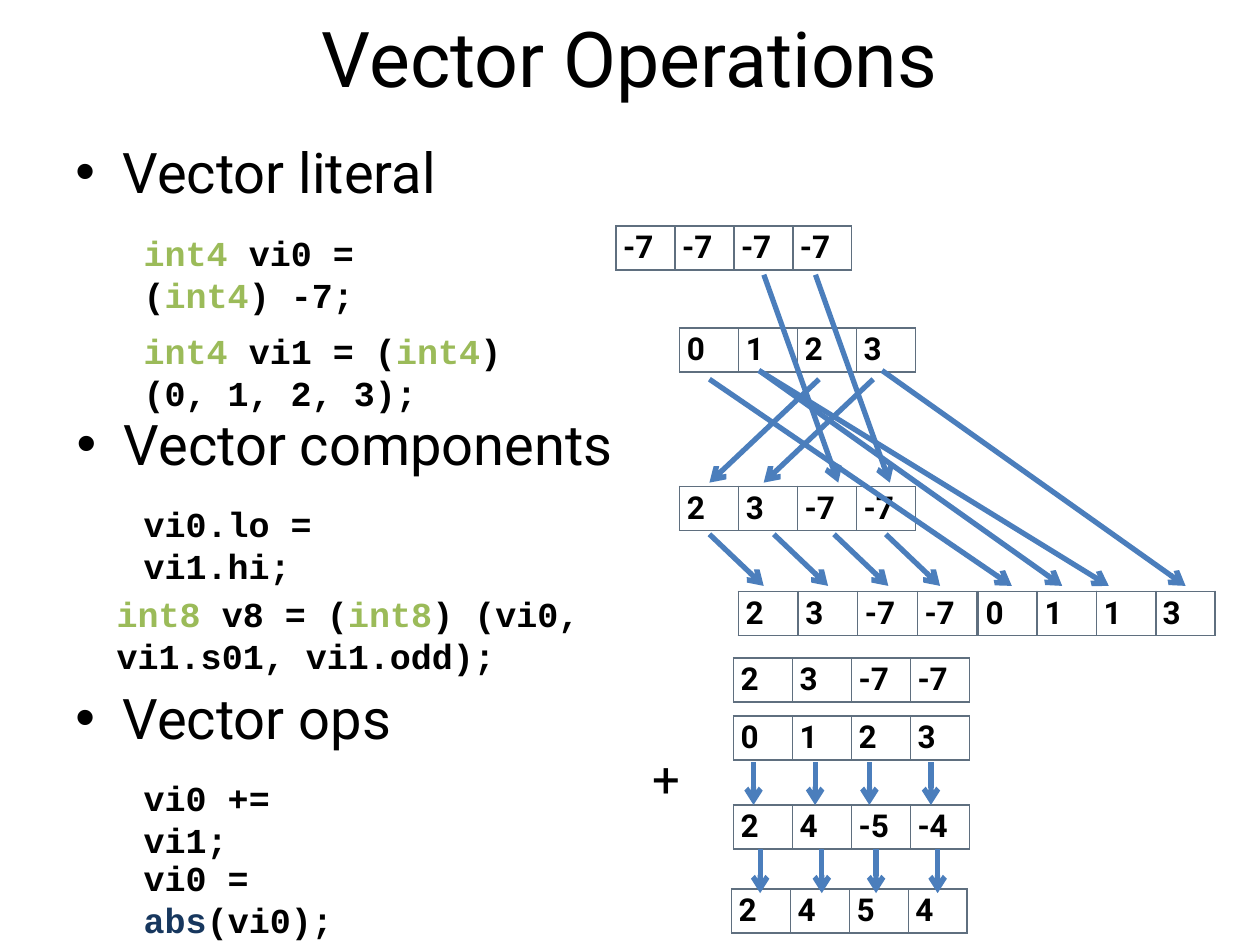
from dataclasses import dataclass

import lxml.etree
import pptx
import pptx.dml.color
import pptx.enum.shapes
import pptx.enum.text
import pptx.oxml.ns
import pptx.util

Pt = pptx.util.Pt


@dataclass(frozen=True)
class Theme:
    body: str = "Roboto"
    code: str = "Courier New"
    black: str = "000000"
    type_green: str = "9BBB59"
    function_navy: str = "17375E"
    border: str = "5F6F7F"
    arrow: str = "4B7EBC"
    title_size: int = 44
    topic_size: int = 32
    plus_size: int = 28
    code_size: int = 20
    cell_size: int = 18


THEME = Theme()
CODE_COLORS = {
    "int4": THEME.type_green,
    "int8": THEME.type_green,
    "abs": THEME.function_navy,
}


def add_child(parent, tag, **attributes):
    return lxml.etree.SubElement(parent, pptx.oxml.ns.qn(tag), attributes)


def format_font(font, face, size, color=THEME.black, bold=False):
    font.name = face
    font.size = Pt(size)
    font.bold = bold
    font.color.rgb = pptx.dml.color.RGBColor.from_string(color)


def add_title(slide, text):
    title = slide.shapes.title
    title.left, title.top = Pt(36), Pt(-12.6)
    title.width, title.height = Pt(648), Pt(90)
    title.text_frame.text = text
    title.text_frame.vertical_anchor = pptx.enum.text.MSO_ANCHOR.MIDDLE
    paragraph = title.text_frame.paragraphs[0]
    paragraph.alignment = pptx.enum.text.PP_ALIGN.CENTER
    format_font(paragraph.runs[0].font, THEME.body, THEME.title_size)


def add_text(slide, text, left, top, width, height):
    box = slide.shapes.add_textbox(Pt(left), Pt(top), Pt(width), Pt(height))
    box.text_frame.word_wrap = True
    paragraph = box.text_frame.paragraphs[0]
    paragraph.text = text
    return paragraph


def add_topic(slide, text, left, top, width):
    paragraph = add_text(slide, text, left, top, width, 53.3)
    properties = paragraph._p.get_or_add_pPr()
    properties.set("marL", str(Pt(27)))
    properties.set("indent", str(-Pt(27)))
    add_child(properties, "a:buFont", typeface="Arial")
    add_child(properties, "a:buChar", char="•")
    format_font(paragraph.runs[0].font, THEME.body, THEME.topic_size)


def add_code(slide, parts, left, top, width):
    paragraph = add_text(slide, "", left, top, width, 31.7)
    for part in parts:
        run = paragraph.add_run()
        run.text = part
        color = CODE_COLORS.get(part, THEME.black)
        format_font(run.font, THEME.code, THEME.code_size, color, bold=True)


def add_borders(cell):
    properties = cell._tc.get_or_add_tcPr()
    for side in "LRTB":
        border = add_child(properties, f"a:ln{side}", w=str(Pt(1)))
        fill = add_child(border, "a:solidFill")
        add_child(fill, "a:srgbClr", val=THEME.border)


def add_vector(slide, values, left, top, width=134.8):
    frame = slide.shapes.add_table(1, len(values), Pt(left), Pt(top),
                                   Pt(width), Pt(25.2))
    vector = frame.table
    vector.first_row = vector.horz_banding = False
    for column, value in enumerate(values):
        vector.columns[column].width = Pt(width / len(values))
        cell = vector.cell(0, column)
        cell.margin_left = cell.margin_right = Pt(1.7)
        cell.margin_top = cell.margin_bottom = Pt(1.7)
        cell.vertical_anchor = pptx.enum.text.MSO_ANCHOR.MIDDLE
        add_borders(cell)
        cell.fill.background()
        paragraph = cell.text_frame.paragraphs[0]
        paragraph.text = str(value)
        paragraph._p.get_or_add_pPr().set("marL", str(Pt(2.4)))
        format_font(paragraph.font, THEME.body, THEME.cell_size, bold=True)
        for run in paragraph.runs:
            format_font(run.font, THEME.body, THEME.cell_size, bold=True)


def add_arrow(slide, start_x, start_y, end_x, end_y):
    arrow = slide.shapes.add_connector(
        pptx.enum.shapes.MSO_CONNECTOR.STRAIGHT,
        Pt(start_x), Pt(start_y), Pt(end_x), Pt(end_y))
    arrow.line.width = Pt(3)
    arrow.line.color.rgb = pptx.dml.color.RGBColor.from_string(THEME.arrow)
    properties = arrow._element.spPr
    add_child(properties.find(pptx.oxml.ns.qn("a:ln")), "a:tailEnd",
              type="arrow")
    add_child(properties, "a:effectLst")


def add_parallel_arrows(slide, starts, shift, top, bottom):
    for start in starts:
        add_arrow(slide, start, top, start + shift, bottom)


def main():
    deck = pptx.Presentation()
    deck.slide_width, deck.slide_height = Pt(720), Pt(540)
    slide = deck.slides.add_slide(deck.slide_layouts[5])
    add_title(slide, "Vector Operations")

    # Topics and their code
    add_topic(slide, "Vector literal", 36, 75, 245)
    add_topic(slide, "Vector components", 36.7, 230.5, 396.7)
    add_topic(slide, "Vector ops", 36, 387, 245)
    for parts, left, top, width in [
        (["int4", " vi0 = (", "int4", ") -7;"], 75, 129, 186.5),
        (["int4", " vi1 = (", "int4", ") (0, 1, 2, 3);"], 75, 185, 260),
        (["vi0.lo = vi1.hi;"], 75, 283.5, 147),
        (["int8", " v8 = (", "int8", ") (vi0, vi1.s01, vi1.odd);"],
         59.6, 335, 364.3),
        (["vi0 += vi1;"], 75, 440, 111.5),
        (["vi0 = ", "abs", "(vi0);"], 75, 486, 148.5),
    ]:
        add_code(slide, parts, left, top, width)

    # Literals, then vi0 with its low half replaced by vi1.hi
    add_vector(slide, [-7, -7, -7, -7], 352, 129)
    add_vector(slide, [0, 1, 2, 3], 388.4, 187.3)
    add_vector(slide, [2, 3, -7, -7], 388.4, 278)
    add_parallel_arrows(slide, [468, 499], -62.6, 216.7, 275.8)

    # v8 starts with vi0; its open lanes take vi1.s01 and vi1.odd
    add_vector(slide, [2, 3, -7, -7] + [""] * 4, 422, 337.9, width=272.6)
    add_parallel_arrows(slide, [436.5, 466], 42.5, 157, 275.8)
    add_parallel_arrows(slide, [405.4, 442.2, 476.6, 506.2], 31, 305.3, 334.8)
    add_vector(slide, [0, 1], 559.2, 337.9, width=67.4)
    add_vector(slide, [1, 3], 626.6, 337.9, width=67.4)
    for start_x, start_y, end_x in [(405.4, 216.7, 578.2), (433.7, 211.7, 607),
                                    (433.7, 211.7, 633.6), (504, 211.7, 677.5)]:
        add_arrow(slide, start_x, start_y, end_x, 334.8)

    # Element-wise sum and absolute value
    add_vector(slide, [2, 3, -7, -7], 419.2, 376)
    add_vector(slide, [0, 1, 2, 3], 419.2, 409)
    add_vector(slide, [2, 4, -5, -4], 419.2, 460)
    plus = add_text(slide, "+", 365.6, 424, 24, 41)
    format_font(plus.runs[0].font, THEME.body, THEME.plus_size)
    lanes = [430.6, 465.8, 496.8, 532]
    add_parallel_arrows(slide, lanes, 0, 435.6, 460)
    add_vector(slide, [2, 4, 5, 4], 418, 508)
    add_parallel_arrows(slide, [lane + 3.8 for lane in lanes], 0, 485.4, 510.4)

    deck.save("out.pptx")


if __name__ == "__main__":
    main()
